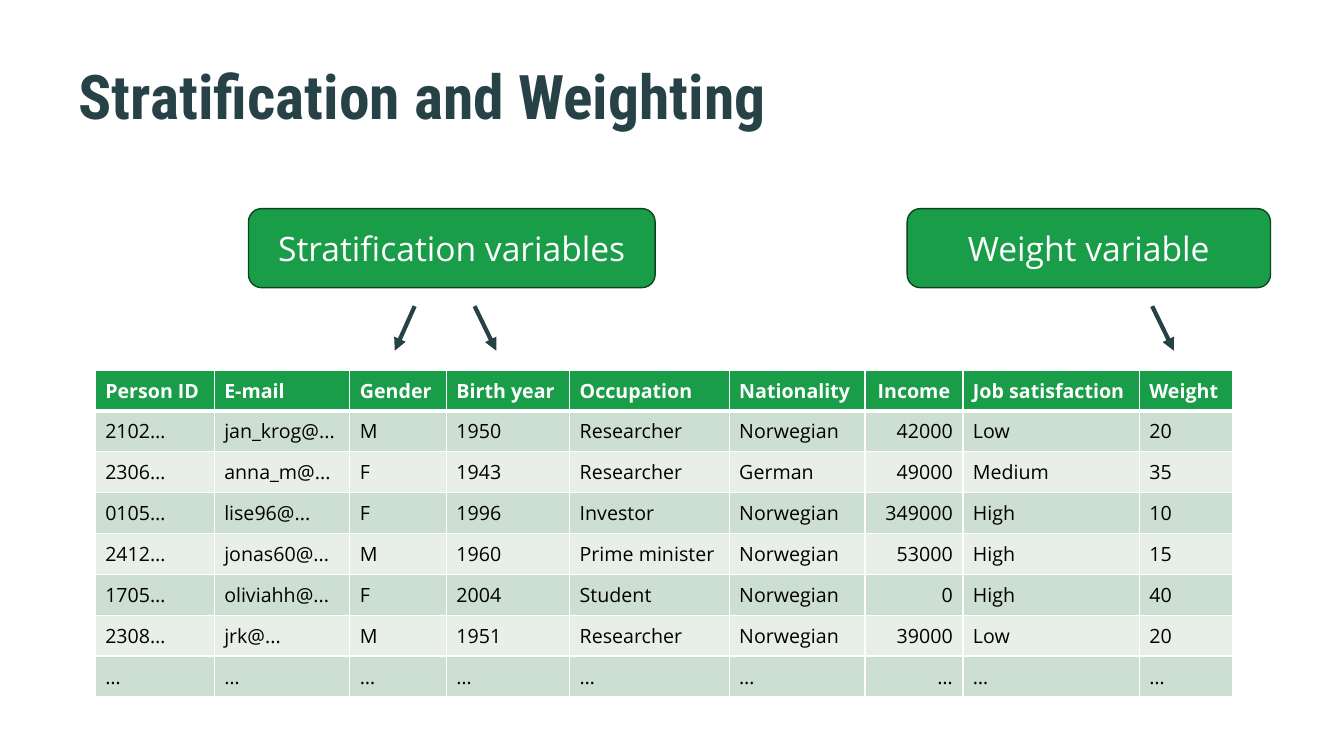
from dataclasses import dataclass

from lxml.etree import SubElement
from pptx import Presentation
from pptx.dml.color import RGBColor
from pptx.enum.shapes import MSO_CONNECTOR as CONN, MSO_SHAPE as SHAPE
from pptx.enum.text import MSO_ANCHOR as ANCHOR, PP_ALIGN as ALIGN
from pptx.oxml.ns import qn
from pptx.util import Pt

COLORS = {
    "green": "1A9D49",
    "dark_green": "0B4520",
    "slate": "274247",
    "band_dark": "CDDFD0",
    "band_light": "E8EFE9",
    "white": "FFFFFF",
    "black": "000000",
}
BODY_FONT = "Open Sans"
TITLE_FONT = "Roboto Condensed"


@dataclass
class Label:
    text: str
    left: float
    width: float


@dataclass
class Arrow:
    x1: float
    x2: float


@dataclass
class Column:
    header: str
    width: float
    align: ALIGN = ALIGN.LEFT
    header_align: ALIGN = ALIGN.LEFT


LABEL_TOP, LABEL_HEIGHT = 149, 56.5
LABELS = [
    Label("Weight variable", 648, 259.5),
    Label("Stratification variables", 177.5, 290.5),
]

ARROW_TOP, ARROW_BOTTOM = 218.7, 250.5
ARROWS = [Arrow(823, 838.5), Arrow(339, 354.5), Arrow(296.2, 282)]

TABLE_LEFT, TABLE_TOP, ROW_HEIGHT = 68, 264.25, 29.2
COLUMNS = [
    Column("Person ID", 85),
    Column("E-mail", 96.9),
    Column("Gender", 69),
    Column("Birth year", 88),
    Column("Occupation", 114),
    Column("Nationality", 97),
    Column("Income", 70, ALIGN.RIGHT, ALIGN.CENTER),
    Column("Job satisfaction", 126),
    Column("Weight", 67),
]
PEOPLE = [
    ["2102…", "jan_krog@...", "M", "1950", "Researcher", "Norwegian", "42000", "Low", "20"],
    ["2306…", "anna_m@...", "F", "1943", "Researcher", "German", "49000", "Medium", "35"],
    ["0105…", "lise96@...", "F", "1996", "Investor", "Norwegian", "349000", "High", "10"],
    ["2412…", "jonas60@...", "M", "1960", "Prime minister", "Norwegian", "53000", "High", "15"],
    ["1705…", "oliviahh@...", "F", "2004", "Student", "Norwegian", "0", "High", "40"],
    ["2308…", "jrk@...", "M", "1951", "Researcher", "Norwegian", "39000", "Low", "20"],
    ["…"] * len(COLUMNS),
]


def rgb(name: str) -> RGBColor:
    return RGBColor.from_string(COLORS[name])


def write(tf, text: str, *, size: float, color: str, font: str = BODY_FONT,
          bold: bool = False, align: ALIGN = ALIGN.LEFT, spacing: float = 1.0) -> None:
    p = tf.paragraphs[0]
    p.alignment = align
    p.line_spacing = spacing
    r = p.add_run()
    r.text = text
    r.font.name = font
    r.font.size = Pt(size)
    r.font.bold = bold
    r.font.color.rgb = rgb(color)


def add_title(s, text: str) -> None:
    tf = s.shapes.add_textbox(Pt(49), Pt(21.6), Pt(890), Pt(103)).text_frame
    tf.word_wrap = True
    tf.vertical_anchor = ANCHOR.MIDDLE
    tf.margin_top = 0
    write(tf, text, size=44, color="slate", font=TITLE_FONT, bold=True, spacing=0.9)


def add_label(s, label: Label) -> None:
    sp = s.shapes.add_shape(SHAPE.ROUNDED_RECTANGLE, Pt(label.left), Pt(LABEL_TOP),
                            Pt(label.width), Pt(LABEL_HEIGHT))
    sp.shadow.inherit = False
    sp.fill.solid()
    sp.fill.fore_color.rgb = rgb("green")
    sp.line.color.rgb = rgb("dark_green")
    sp.line.width = Pt(1)
    tf = sp.text_frame
    tf.word_wrap = True
    tf.vertical_anchor = ANCHOR.MIDDLE
    write(tf, label.text, size=24, color="white", align=ALIGN.CENTER)


def add_arrow(s, arrow: Arrow) -> None:
    sp = s.shapes.add_connector(CONN.STRAIGHT, Pt(arrow.x1), Pt(ARROW_TOP),
                                Pt(arrow.x2), Pt(ARROW_BOTTOM))
    sp.line.color.rgb = rgb("slate")
    sp.line.width = Pt(3)
    SubElement(sp.line._get_or_add_ln(), qn("a:tailEnd"), type="triangle")
    SubElement(sp._element.spPr, qn("a:effectLst"))


def add_borders(cell, **widths: float) -> None:
    """Draw white borders; must run before the cell gets its fill."""
    tc_pr = cell._tc.get_or_add_tcPr()
    for side in "LRTB":
        ln = SubElement(tc_pr, qn(f"a:ln{side}"), w=str(Pt(widths.get(side, 1))))
        fill = SubElement(ln, qn("a:solidFill"))
        SubElement(fill, qn("a:srgbClr"), val=COLORS["white"])


def format_cell(cell, text: str, row: int, column: Column) -> None:
    is_header = row == 0
    if is_header:
        fill, borders = "green", {"B": 3}
    else:
        fill = "band_dark" if row % 2 else "band_light"
        borders = {"T": 3} if row == 1 else {}
    add_borders(cell, **borders)
    cell.fill.solid()
    cell.fill.fore_color.rgb = rgb(fill)
    cell.vertical_anchor = ANCHOR.MIDDLE
    write(cell.text_frame, text, size=14, bold=is_header,
          color="white" if is_header else "black",
          align=column.header_align if is_header else column.align)


def add_people_table(s) -> None:
    rows = [[c.header for c in COLUMNS], *PEOPLE]
    width = sum(c.width for c in COLUMNS)
    table = s.shapes.add_table(len(rows), len(COLUMNS), Pt(TABLE_LEFT), Pt(TABLE_TOP),
                               Pt(width), Pt(ROW_HEIGHT * len(rows))).table
    for i, column in enumerate(COLUMNS):
        table.columns[i].width = Pt(column.width)
    for r, texts in enumerate(rows):
        table.rows[r].height = Pt(ROW_HEIGHT)
        for c, (text, column) in enumerate(zip(texts, COLUMNS)):
            format_cell(table.cell(r, c), text, r, column)


def main() -> None:
    prs = Presentation()
    prs.slide_width, prs.slide_height = Pt(960), Pt(540)
    s = prs.slides.add_slide(prs.slide_layouts[6])
    for label in LABELS:
        add_label(s, label)
    add_title(s, "Stratification and Weighting")
    add_people_table(s)
    for arrow in ARROWS:
        add_arrow(s, arrow)
    prs.save("out.pptx")


if __name__ == "__main__":
    main()
